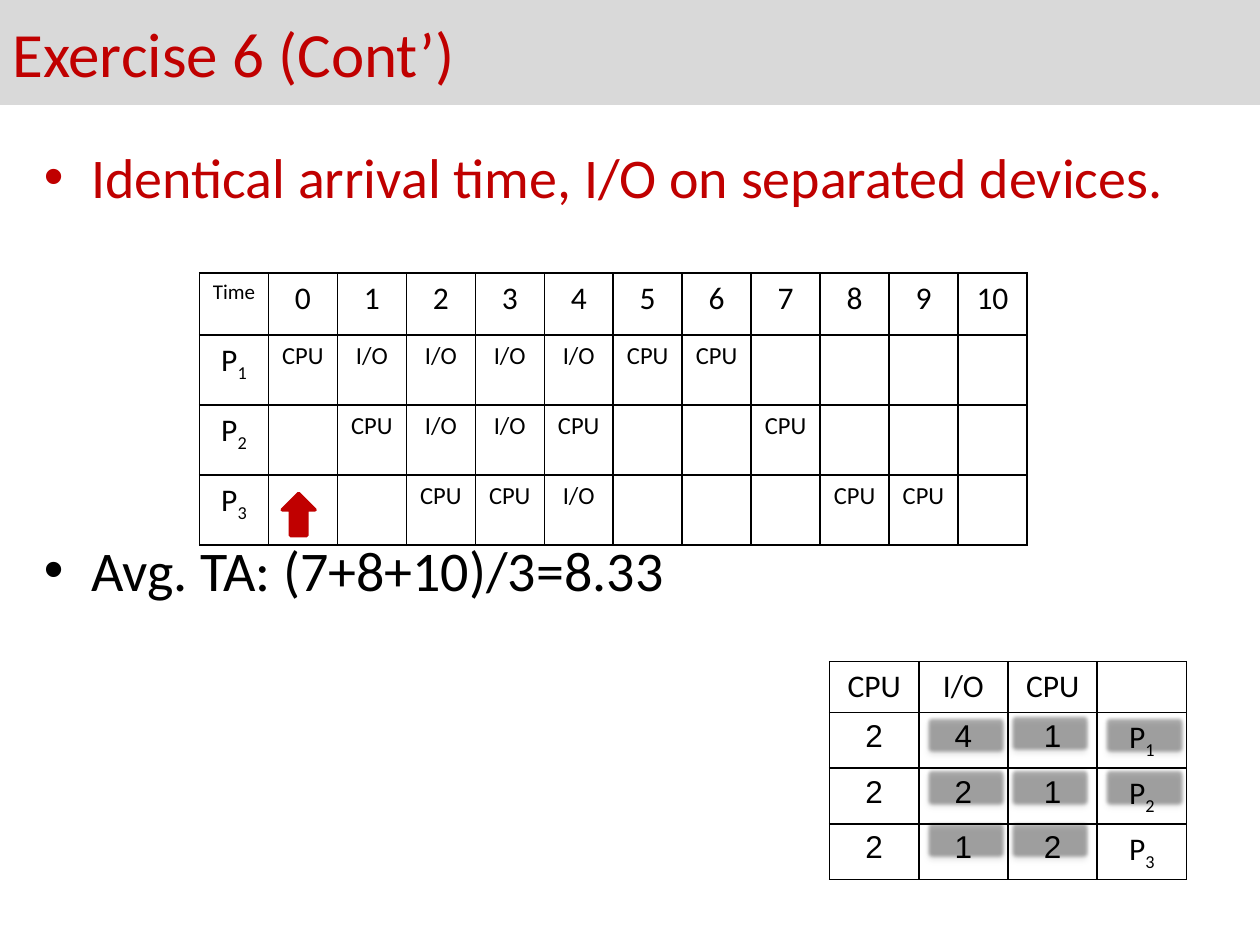
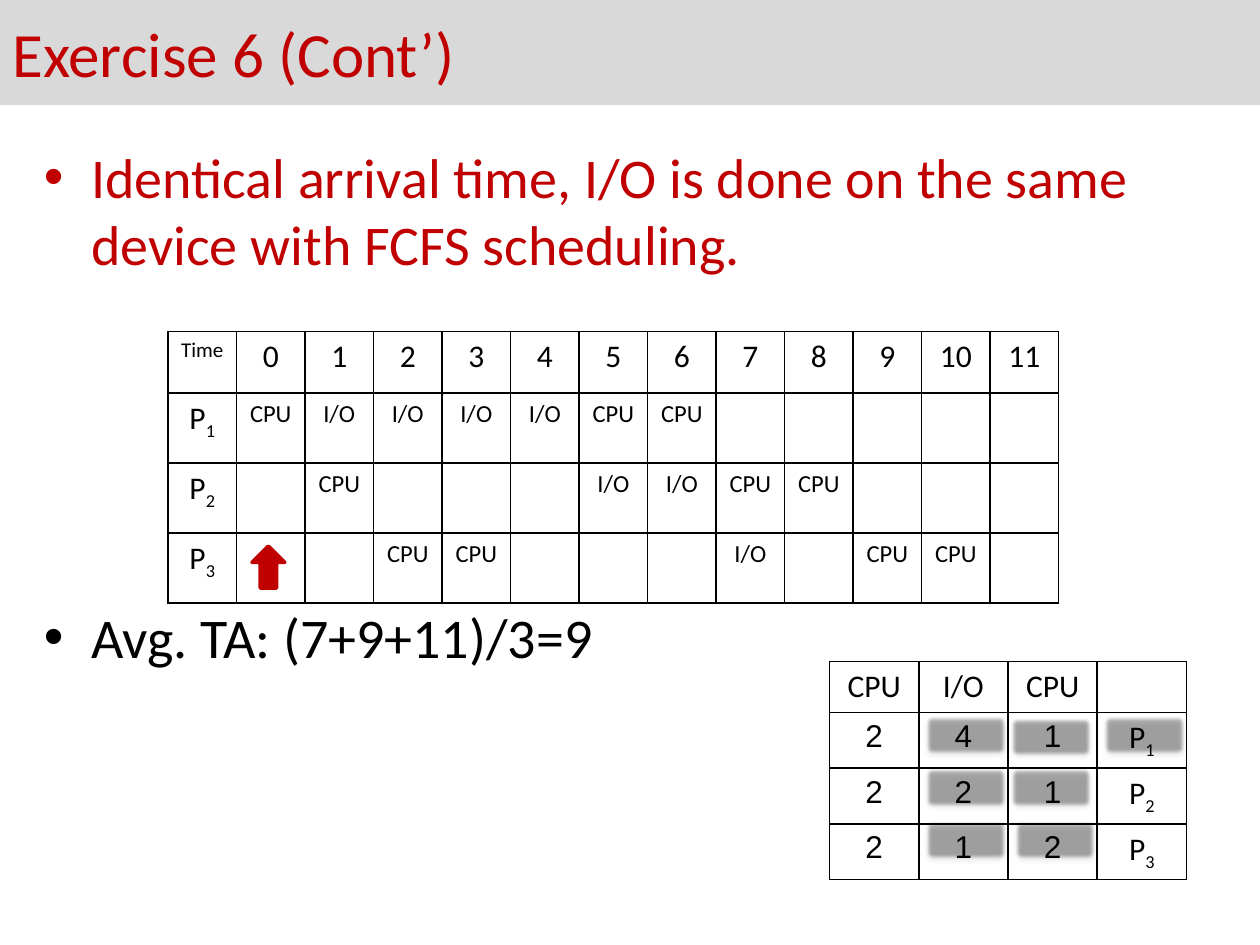
from lxml import etree
from pptx import Presentation
from pptx.dml.color import RGBColor
from pptx.enum.shapes import MSO_SHAPE
from pptx.enum.text import MSO_ANCHOR, PP_ALIGN
from pptx.oxml.ns import qn
from pptx.util import Pt

RECT, ARROW = MSO_SHAPE.RECTANGLE, MSO_SHAPE.UP_ARROW
MIDDLE, LEFT, CENTER = MSO_ANCHOR.MIDDLE, PP_ALIGN.LEFT, PP_ALIGN.CENTER

FONT = "Calibri"
COLORS = {"band": "D9D9D9", "red": "C00000", "ink": "000000", "edge": "BE4B48"}
STEPS = {"C": "CPU", "I": "I/O", ".": ""}
NEEDS = [["CPU", "I/O", "CPU", ""],
         ["2", "4", "1", "P1"],
         ["2", "2", "1", "P2"],
         ["2", "1", "2", "P3"]]


def rgb(name):
    return RGBColor.from_string(COLORS[name])


def add_xml(parent, tag, **attrs):
    return etree.SubElement(parent, qn(tag), {k: str(v) for k, v in attrs.items()})


def set_font(par, size, color="ink"):
    par.font.name = FONT
    par.font.size = Pt(size)
    par.font.color.rgb = rgb(color)


def add_block(slide, kind, x, y, w, h, fill, line=None, width=1):
    shape = slide.shapes.add_shape(kind, Pt(x), Pt(y), Pt(w), Pt(h))
    shape.shadow.inherit = False
    shape.fill.solid()
    shape.fill.fore_color.rgb = rgb(fill)
    if line:
        shape.line.color.rgb = rgb(line)
        shape.line.width = Pt(width)
    else:
        shape.line.fill.background()
    return shape


def add_title(slide, text):
    band = add_block(slide, RECT, 0, 0, 720, 60, "band")
    band.text_frame.vertical_anchor = MIDDLE
    par = band.text_frame.paragraphs[0]
    par.text = text
    par.alignment = LEFT
    set_font(par, 36, "red")


def add_bullet(par, text, color):
    par.text = text
    props = par._p.get_or_add_pPr()
    props.set("marL", str(Pt(27)))
    props.set("indent", str(-Pt(27)))
    tint = add_xml(props, "a:buClr")
    add_xml(tint, "a:srgbClr", val=COLORS[color])
    add_xml(props, "a:buFont", typeface="Arial")
    add_xml(props, "a:buChar", char="•")
    set_font(par, 32, color)


def add_body(slide, topic, result):
    frame = slide.shapes.add_textbox(Pt(18), Pt(78), Pt(684), Pt(444)).text_frame
    frame.word_wrap = True
    add_bullet(frame.paragraphs[0], topic, "red")
    last = frame.add_paragraph()
    last.space_before = Pt(186)  # leaves room for the time chart
    add_bullet(last, result, "ink")


def add_borders(cell):
    props = cell._tc.get_or_add_tcPr()
    for spot, side in enumerate(("a:lnL", "a:lnR", "a:lnT", "a:lnB")):
        line = etree.Element(qn(side), w=str(Pt(0.96)))
        fill = add_xml(line, "a:solidFill")
        add_xml(fill, "a:srgbClr", val=COLORS["ink"])
        props.insert(spot, line)


def fill_cell(cell, text, size, rtl):
    cell.fill.background()
    add_borders(cell)
    par = cell.text_frame.paragraphs[0]
    par.alignment = CENTER
    if text in ("P1", "P2", "P3"):  # process name with its index below
        par.add_run().text = text[0]
        index = par.add_run()
        index.text = text[1]
        index._r.get_or_add_rPr().set("baseline", "-25000")
    elif text:
        par.add_run().text = text
    set_font(par, size)
    if rtl:
        props = par._p.get_or_add_pPr()
        props.set("rtl", "1")
        add_xml(props.find(qn("a:defRPr")), "a:cs", typeface="Arial")


def add_grid(slide, x, y, width, heights, rows, size_of, rtl=False):
    count = len(rows[0])
    table = slide.shapes.add_table(len(rows), count, Pt(x), Pt(y), Pt(width),
                                   Pt(sum(heights))).table
    table.first_row = table.horz_banding = False
    for col in table.columns:
        col.width = Pt(width / count)
    for r, texts in enumerate(rows):
        table.rows[r].height = Pt(heights[r])
        for c, text in enumerate(texts):
            fill_cell(table.cell(r, c), text, size_of(text), rtl)


def step_size(text):
    return {"Time": 12, "CPU": 14, "I/O": 14}.get(text, 18)


def add_chart(slide, x, y, width, plans):
    """Time chart: one letter of a plan is one unit of time."""
    span = len(plans[0])
    rows = [["Time"] + [str(t) for t in range(span)]]
    for n, plan in enumerate(plans, 1):
        rows.append([f"P{n}"] + [STEPS[step] for step in plan])
    add_grid(slide, x, y, width, [35.4, 40, 40, 40], rows, step_size)


def add_needs(slide):
    add_grid(slide, 474, 378, 204, [29.2, 31.5, 31.5, 31.5], NEEDS,
             lambda text: 18, rtl=True)


def add_shade(slide, x, y):
    """Soft translucent patch over a finished entry."""
    patch = add_block(slide, RECT, x, y, 48, 24, "ink", "edge", 0.75)
    props = patch._element.spPr
    tint = props.find(qn("a:solidFill")).find(qn("a:srgbClr"))
    add_xml(tint, "a:alpha", val=31000)
    effects = props.find(qn("a:effectLst"))
    shadow = add_xml(effects, "a:outerShdw", blurRad=Pt(3.1), dist=Pt(1.8),
                     dir=5400000, rotWithShape=0)
    tone = add_xml(shadow, "a:srgbClr", val=COLORS["ink"])
    add_xml(tone, "a:alpha", val=35000)
    add_xml(effects, "a:softEdge", rad=Pt(2.5))


def add_case(deck, topic, result, chart, arrow, shades):
    slide = deck.slides.add_slide(deck.slide_layouts[6])
    add_title(slide, "Exercise 6 (Cont’)")
    add_body(slide, topic, result)
    add_chart(slide, *chart)
    add_needs(slide)
    add_block(slide, ARROW, *arrow, 18.75, 24, "red", "red", 2)
    for x, y in shades:
        add_shade(slide, x, y)


def main():
    deck = Presentation()
    deck.slide_width, deck.slide_height = Pt(720), Pt(540)
    io_shades = [(528, y) for y in (408, 438, 468)]

    # I/O on separate devices
    add_case(deck, "Identical arrival time, I/O on separated devices.",
             "Avg. TA: (7+8+10)/3=8.33",
             (114, 156, 473, ["CIIIICC....", ".CIIC..C...", "..CCI...CC."]),
             (161.3, 282),
             io_shades + [(576, 407), (576, 438), (576, 468),
                          (630, 408), (630, 438)])

    # I/O on one shared device
    add_case(deck, "Identical arrival time, I/O is done on the same "
             "device with FCFS scheduling.",
             "Avg. TA: (7+9+11)/3=9",
             (96, 189.3, 509, ["CIIIICC.....", ".C...IICC...", "..CC...I.CC."]),
             (144, 312),
             io_shades + [(576.7, 409), (576.7, 438), (579, 468), (630, 408)])

    deck.save("out.pptx")


if __name__ == "__main__":
    main()
